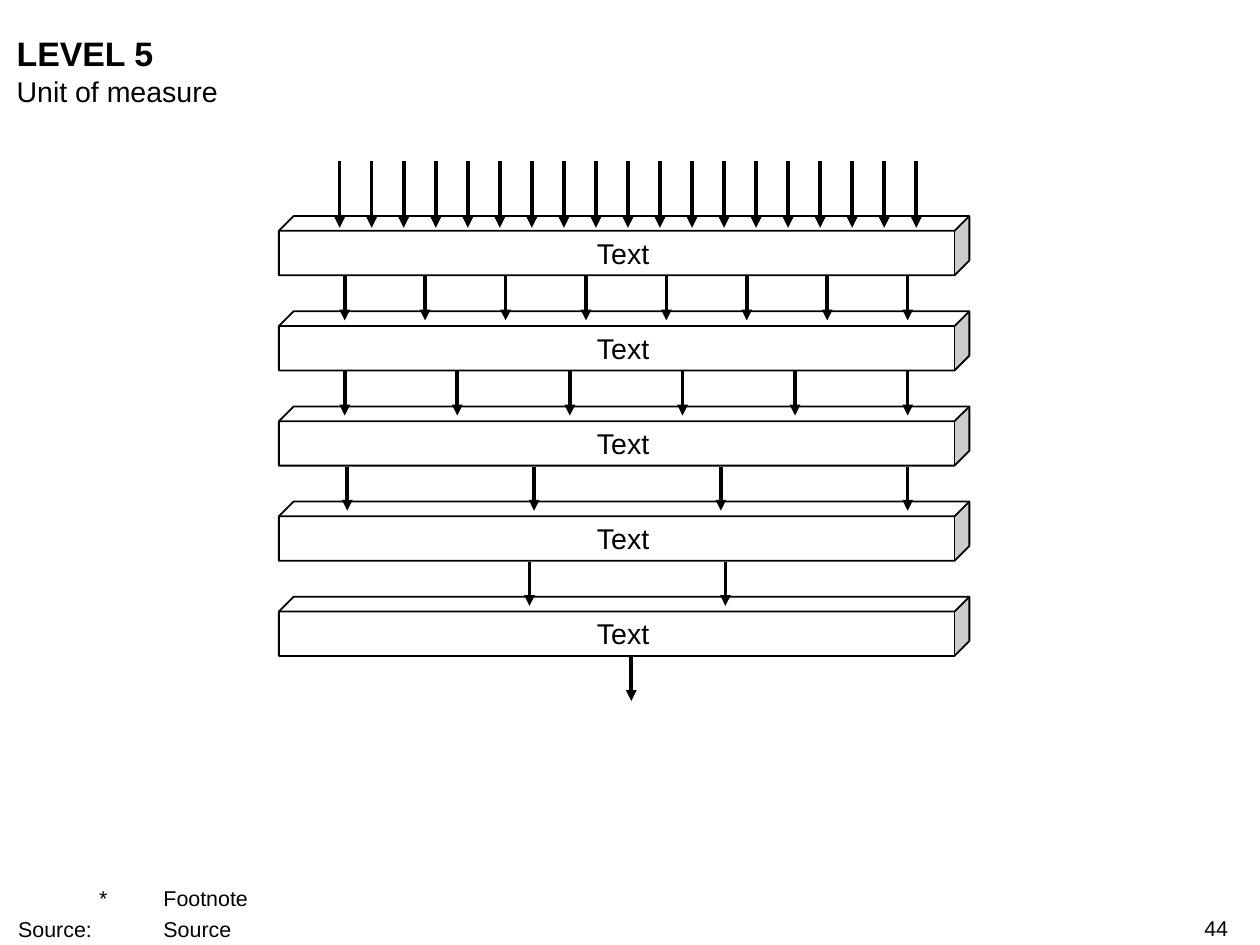
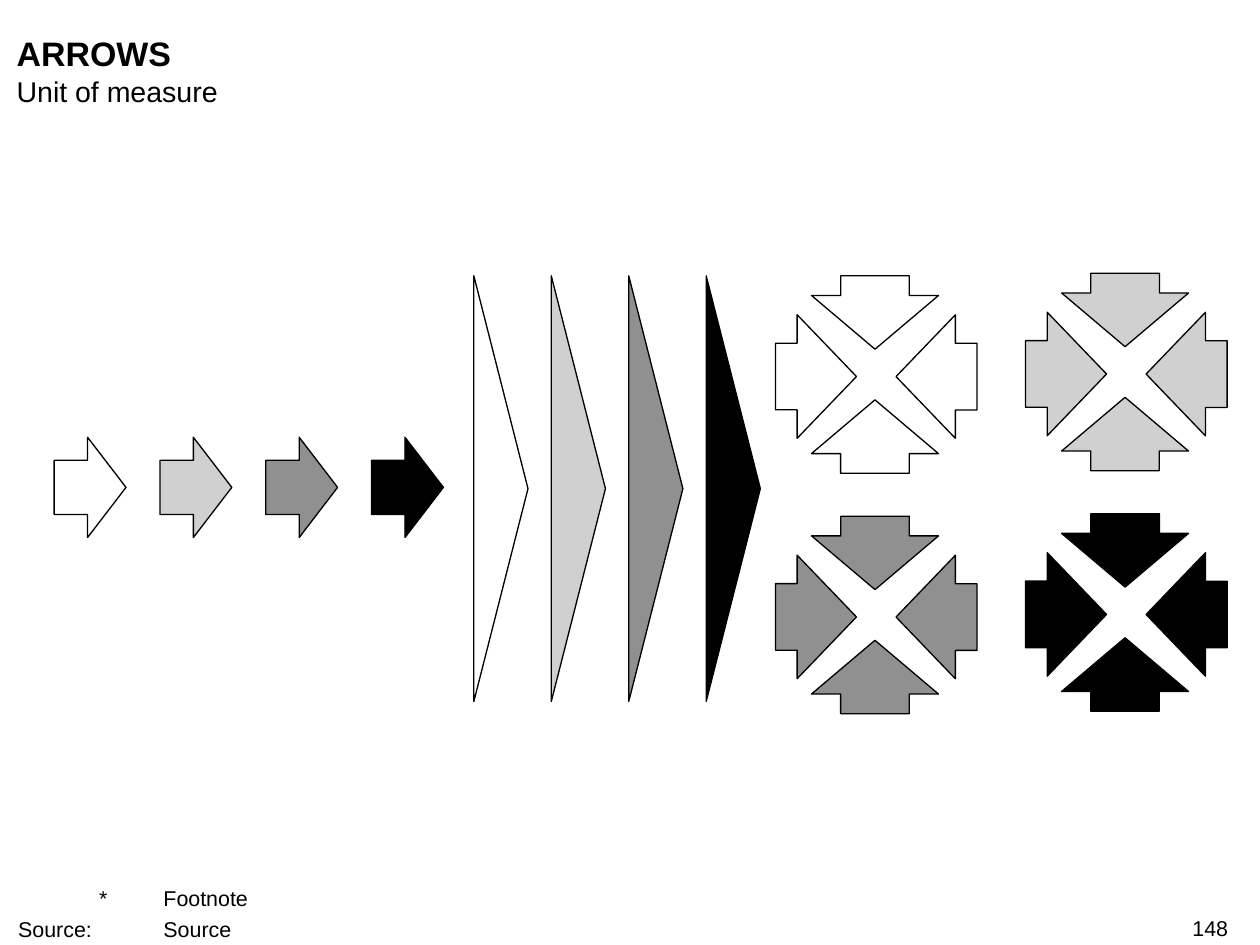
"""Build the funnel slide and the arrow library slide."""
from dataclasses import dataclass
from typing import Optional

from lxml.etree import SubElement
from pptx import Presentation
from pptx.dml.color import RGBColor
from pptx.enum.shapes import MSO_CONNECTOR as Connector, MSO_SHAPE as Preset
from pptx.enum.text import MSO_ANCHOR as Anchor, PP_ALIGN as Align
from pptx.oxml.ns import qn
from pptx.util import Cm, Pt

COLORS = {"black": "000000", "dark": "909090", "light": "D0D0D0", "white": "FFFFFF"}
SHADES = ("white", "light", "dark", "black")
FONT = "Arial"
FOOT_INDENT = 1.6
FOOT_TABS = ((0, "l"), (1.47, "r"), (2.49, "l"), (4.98, "l"))
CUBE_LEFT, CUBE_TOP, CUBE_PITCH = 5.51, 4.27, 1.88
CUBE_WIDTH, CUBE_HEIGHT = 13.64, 1.17


@dataclass(frozen=True)
class Frame:
    left: float
    top: float
    width: float
    height: float

    def lengths(self) -> tuple:
        return Cm(self.left), Cm(self.top), Cm(self.width), Cm(self.height)

    def moved(self, right: float, down: float) -> "Frame":
        return Frame(self.left + right, self.top + down, self.width, self.height)


@dataclass(frozen=True)
class TextStyle:
    size: float
    bold: bool = False
    align: Optional[Align] = None
    anchor: Anchor = Anchor.TOP
    tabbed: bool = False


@dataclass(frozen=True)
class ArrowRow:
    count: int
    first: float
    last: float


@dataclass(frozen=True)
class ClusterArm:
    frame: Frame
    rotation: int


TITLE = TextStyle(19, bold=True)
SUBTITLE = TextStyle(16)
LABEL = TextStyle(16, align=Align.CENTER, anchor=Anchor.MIDDLE)
FOOTNOTE = TextStyle(12, anchor=Anchor.BOTTOM, tabbed=True)
PAGE_NUMBER = TextStyle(12, align=Align.RIGHT)

INPUT_ROW = ArrowRow(19, 6.71, 18.1)
OUTPUT_ROWS = (
    ArrowRow(8, 6.81, 17.93),
    ArrowRow(6, 6.81, 17.93),
    ArrowRow(4, 6.86, 17.93),
    ArrowRow(2, 10.46, 14.33),
    ArrowRow(1, 12.47, 12.47),
)
CLUSTER_ARMS = (
    ClusterArm(Frame(0, 0, 1.6, 2.44), 0),
    ClusterArm(Frame(2.38, 0, 1.6, 2.44), 180),
    ClusterArm(Frame(1.24, -1.3, 1.45, 2.51), 90),
    ClusterArm(Frame(1.24, 1.15, 1.45, 2.51), 270),
)


def color(name: str) -> RGBColor:
    return RGBColor.from_string(COLORS[name])


def add_tabs(paragraph) -> None:
    properties = paragraph._p.get_or_add_pPr()
    properties.set("marL", str(Cm(FOOT_INDENT)))
    properties.set("indent", str(-Cm(FOOT_INDENT)))
    tab_list = SubElement(properties, qn("a:tabLst"))
    for position, side in FOOT_TABS:
        SubElement(tab_list, qn("a:tab"), pos=str(Cm(position)), algn=side)


def add_text(page, frame: Frame, lines: tuple, style: TextStyle) -> None:
    text_frame = page.shapes.add_textbox(*frame.lengths()).text_frame
    text_frame.word_wrap = True
    text_frame.vertical_anchor = style.anchor
    text_frame.margin_left = text_frame.margin_right = 0
    text_frame.margin_top = text_frame.margin_bottom = 0
    for index, line in enumerate(lines):
        paragraph = text_frame.add_paragraph() if index else text_frame.paragraphs[0]
        paragraph.text = line
        if style.tabbed:
            add_tabs(paragraph)
        if style.align is not None:
            paragraph.alignment = style.align
        if index:
            paragraph.space_before = Pt(3)
        font = paragraph.font
        font.name, font.size, font.bold = FONT, Pt(style.size), style.bold
        font.color.rgb = color("black")


def add_preset(page, preset: Preset, frame: Frame, fill: str, adjustments: tuple,
               line_width: float = 0.75, rotation: int = 0) -> None:
    shape = page.shapes.add_shape(preset, *frame.lengths())
    shape.shadow.inherit = False
    shape.rotation = rotation
    for index, value in enumerate(adjustments):
        shape.adjustments[index] = value
    shape.fill.solid()
    shape.fill.fore_color.rgb = color(fill)
    shape.line.color.rgb = color("black")
    shape.line.width = Pt(line_width)


def add_arrow_row(page, row: ArrowRow, top: float, length: float) -> None:
    pitch = (row.last - row.first) / max(row.count - 1, 1)
    for index in range(row.count):
        x = Cm(row.first + index * pitch)
        arrow = page.shapes.add_connector(Connector.STRAIGHT, x, Cm(top), x, Cm(top + length))
        arrow.line.color.rgb = color("black")
        arrow.line.width = Pt(2)
        SubElement(arrow.line._get_or_add_ln(), qn("a:tailEnd"), type="triangle")
        SubElement(arrow._element.spPr, qn("a:effectLst"))


def add_page(deck, title: str, number: int):
    page = deck.slides.add_slide(deck.slide_layouts[6])
    add_text(page, Frame(0.33, 0.64, 23.95, 0.81), (title,), TITLE)
    add_text(page, Frame(0.33, 1.47, 23.95, 0.69), ("Unit of measure",), SUBTITLE)
    add_text(page, Frame(0.36, 17.48, 22.68, 1.12),
             ("\t*\tFootnote", "Source:\t\tSource"), FOOTNOTE)
    add_text(page, Frame(19.08, 18.08, 5.18, 0.51), (str(number),), PAGE_NUMBER)
    return page


def build_levels(deck) -> None:
    page = add_page(deck, "LEVEL 5", 44)
    tops = [CUBE_TOP + index * CUBE_PITCH for index in range(len(OUTPUT_ROWS))]
    for top in reversed(tops):
        cube = Frame(CUBE_LEFT, top, CUBE_WIDTH, CUBE_HEIGHT)
        add_preset(page, Preset.CUBE, cube, "white", (0.25,), line_width=1)
    add_arrow_row(page, INPUT_ROW, 3.18, 1.32)
    for top, row in zip(tops, OUTPUT_ROWS):
        add_arrow_row(page, row, top + CUBE_HEIGHT + 0.02, 0.87)
        add_text(page, Frame(5.82, top + 0.38, 12.98, 0.69), ("Text",), LABEL)


def build_arrows(deck) -> None:
    page = add_page(deck, "ARROWS", 148)
    for index, shade in enumerate(SHADES):
        arrow = Frame(1.07, 8.64, 1.42, 1.98).moved(index * 2.09, 0)
        add_preset(page, Preset.RIGHT_ARROW, arrow, shade, (0.54, 0.534))
        wedge = Frame(5.69, 9.12, 8.41, 1.07).moved(index * 1.53, 0)
        add_preset(page, Preset.ISOSCELES_TRIANGLE, wedge, shade, (0.5,), rotation=90)
        row, column = divmod(index, 2)
        left, top = 15.32 + column * 4.94, 6.22 + row * 4.75 - column * 0.05
        for arm in CLUSTER_ARMS:
            add_preset(page, Preset.RIGHT_ARROW, arm.frame.moved(left, top), shade,
                       (0.54, 0.732), rotation=arm.rotation)


def main() -> None:
    deck = Presentation()
    deck.slide_width, deck.slide_height = Cm(24.89), Cm(18.67)
    build_levels(deck)
    build_arrows(deck)
    deck.save("out.pptx")


if __name__ == "__main__":
    main()
